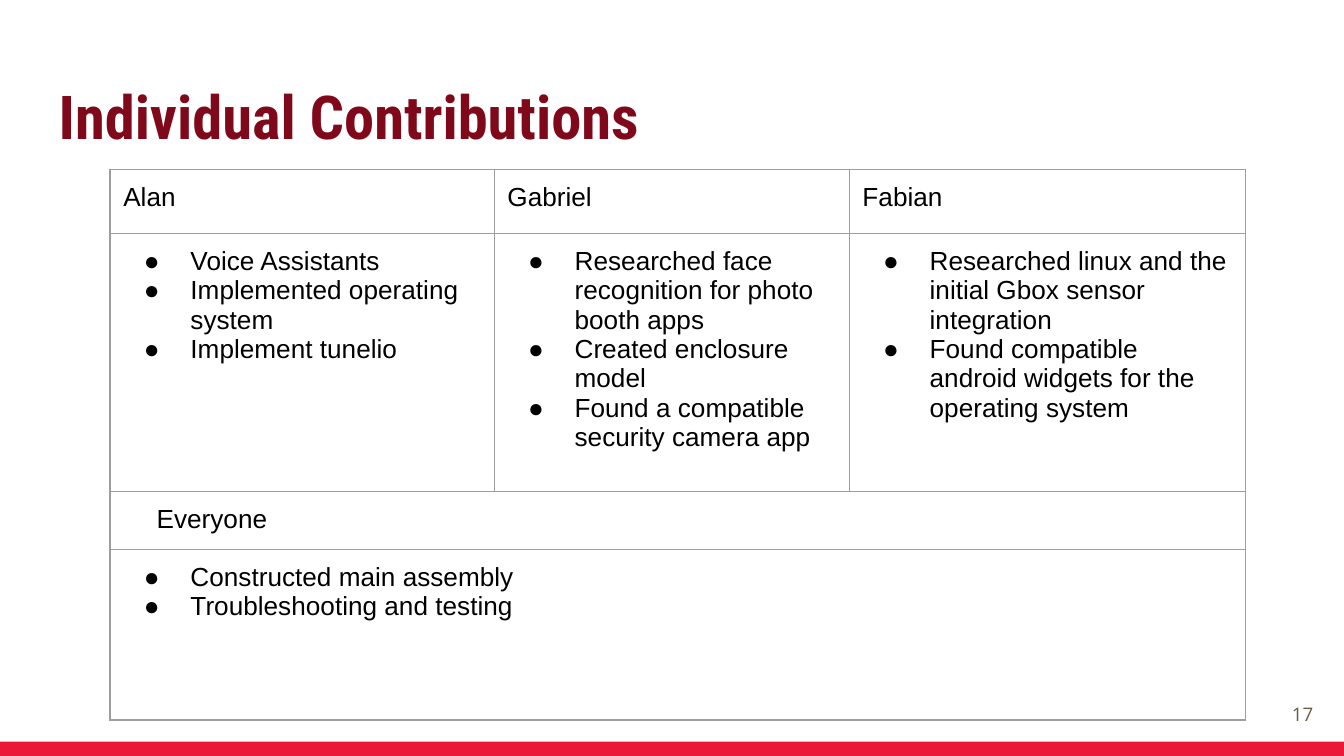
from pptx import Presentation
from pptx.dml.color import RGBColor
from pptx.enum.shapes import MSO_SHAPE as Shape
from pptx.enum.text import MSO_ANCHOR as Anchor, MSO_AUTO_SIZE as Fit, PP_ALIGN as Align
from pptx.oxml.ns import qn
from pptx.util import Cm, Pt
from lxml.etree import SubElement as sub

RED = RGBColor(0xEA, 0x19, 0x38)
MAROON = RGBColor(0x7F, 0x09, 0x1A)
BROWN = RGBColor(0x69, 0x5D, 0x46)
BLACK = RGBColor(0, 0, 0)
GRAY = RGBColor(0x9E, 0x9E, 0x9E)
PAD = Cm(0.25)

# Table content: one column per member, then two rows for the whole team
MEMBERS = {
    "Alan": ["Voice Assistants", "Implemented operating system",
             "Implement tunelio"],
    "Gabriel": ["Researched face recognition for photo booth apps",
                "Created enclosure model",
                "Found a compatible security camera app"],
    "Fabian": ["Researched linux and the initial Gbox sensor integration",
               "Found compatible android widgets for the operating system"],
}
TEAM = ["Constructed main assembly", "Troubleshooting and testing"]


class Deck:
    def __init__(self, wide, high):
        self.prs = Presentation()
        self.prs.slide_width, self.prs.slide_height = Cm(wide), Cm(high)
        self.slide = self.prs.slides.add_slide(self.prs.slide_layouts[5])
        self.shapes = self.slide.shapes

    def style(self, para, face, size, color, bold=False):
        font = para.font
        font.name, font.size, font.bold = face, Pt(size), bold
        font.color.rgb = color

    def frame(self, shape, text, anchor, align):
        box = shape.text_frame
        box.text, box.word_wrap, box.auto_size = text, True, Fit.NONE
        box.vertical_anchor = anchor
        box.margin_left = box.margin_right = PAD
        box.margin_top = box.margin_bottom = PAD
        para = box.paragraphs[0]
        para.alignment = align
        return para

    def bar(self, *area):
        bar = self.shapes.add_shape(Shape.RECTANGLE, *map(Cm, area))
        bar.shadow.inherit = False
        bar.fill.solid()
        bar.fill.fore_color.rgb = RED
        bar.line.fill.background()

    def title(self, text, *area):
        title = self.shapes.title
        title.left, title.top, title.width, title.height = map(Cm, area)
        para = self.frame(title, text, Anchor.TOP, Align.LEFT)
        self.style(para, "Roboto Condensed", 32.4, MAROON, True)

    def number(self, text, *area):
        box = self.shapes.add_textbox(*map(Cm, area))
        para = self.frame(box, text, Anchor.MIDDLE, Align.RIGHT)
        self.style(para, "Open Sans", 10, BROWN)

    def table(self, left, top, cols, rows):
        frame = self.shapes.add_table(len(rows), len(cols), Cm(left), Cm(top),
                                      Cm(sum(cols)), Cm(sum(rows)))
        table = frame.table
        table.first_row = table.horz_banding = False
        for col, wide in zip(table.columns, cols):
            col.width = Cm(wide)
        for row, high in zip(table.rows, rows):
            row.height = Cm(high)
        for cell in table.iter_cells():
            self.edge(cell)
        return table

    def edge(self, cell):
        props = cell._tc.get_or_add_tcPr()
        for side in ("a:lnL", "a:lnR", "a:lnT", "a:lnB"):
            line = sub(props, qn(side), w=str(Pt(0.75)))
            fill = sub(line, qn("a:solidFill"))
            sub(fill, qn("a:srgbClr"), val=str(GRAY))
        cell.fill.background()
        cell.margin_left = cell.margin_right = PAD
        cell.margin_top = cell.margin_bottom = PAD

    def fill(self, cell, lines, hang=0, dots=False):
        cell.text = "\n".join(lines)
        for para in cell.text_frame.paragraphs:
            props = para._p.get_or_add_pPr()
            if hang:
                props.set("marL", str(Cm(1.27)))
                props.set("indent", str(-Cm(hang)))
            if dots:
                color = sub(props, qn("a:buClr"))
                sub(color, qn("a:srgbClr"), val=str(BLACK))
                sub(props, qn("a:buFont"), typeface="Arial")
                sub(props, qn("a:buChar"), char="●")
            self.style(para, "Arial", 14, BLACK)


def main():
    deck = Deck(25.4, 14.29)

    # Footer bar, title and page number
    deck.bar(0, 14.02, 25.4, 0.27)
    deck.title("Individual Contributions", 0.86, 1.24, 23.67, 1.96)
    deck.number("17", 23.55, 12.95, 1.52, 1.09)

    # Members: name above tasks
    table = deck.table(2.08, 3.2, [7.26, 6.71, 7.49], [1.21, 4.88, 1.09, 3.23])
    for col, (name, tasks) in enumerate(MEMBERS.items()):
        deck.fill(table.cell(0, col), [name])
        deck.fill(table.cell(1, col), tasks, 0.88, True)

    # Team rows span all columns
    for row in (2, 3):
        table.cell(row, 0).merge(table.cell(row, 2))
    deck.fill(table.cell(2, 0), ["Everyone"], 0.64)
    deck.fill(table.cell(3, 0), TEAM, 0.88, True)

    deck.prs.save("out.pptx")


if __name__ == "__main__":
    main()
